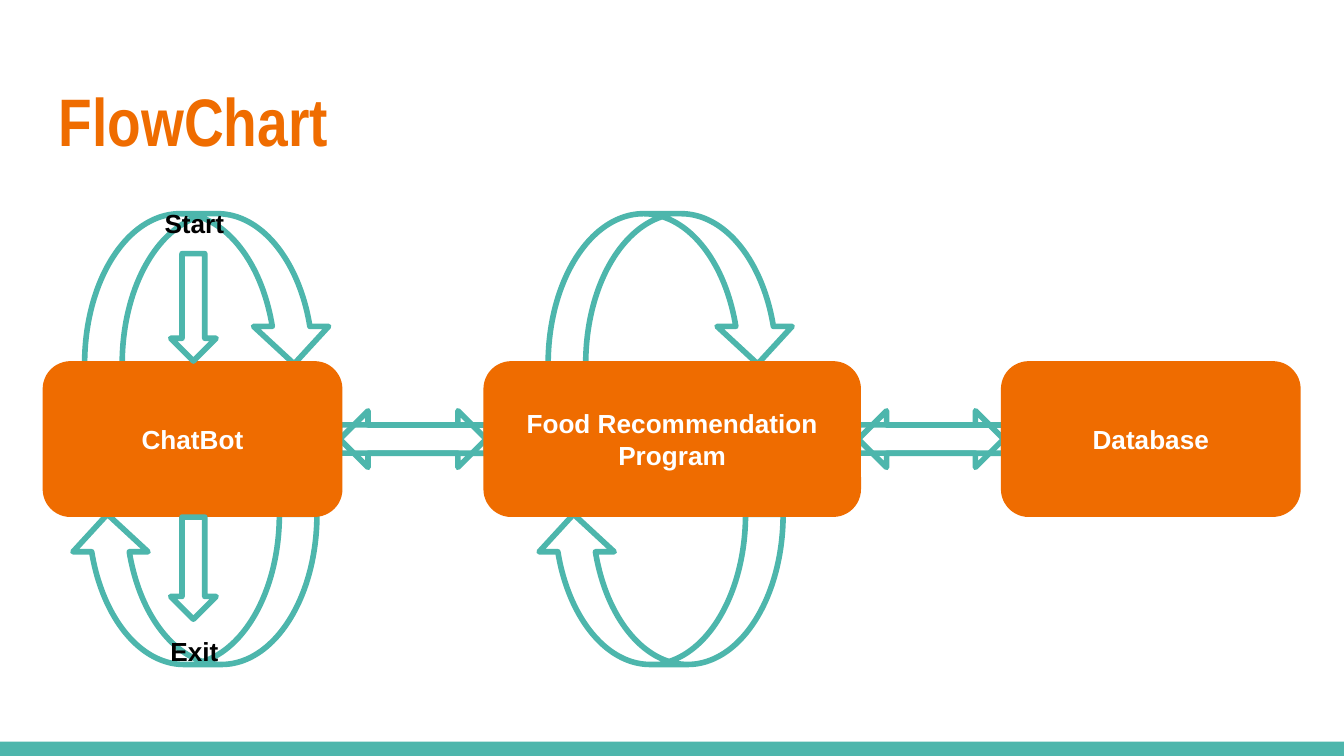
import pptx
import pptx.dml.color
import pptx.enum.shapes
import pptx.enum.text
import pptx.util
from lxml import etree
from pptx.util import Cm

COLORS = {"teal": "4DB6AC", "orange": "EF6C00", "white": "FFFFFF", "black": "000000"}
SHAPES = pptx.enum.shapes.MSO_SHAPE
ANCHORS = pptx.enum.text.MSO_ANCHOR
CENTER = pptx.enum.text.PP_ALIGN.CENTER
BOX_TOP, BOX_HEIGHT = 6.88, 2.84
LOOP_WIDTH, LOOP_HEIGHT = 4.67, 2.84
ARROW_HEIGHT = 1.07
BOXES = [("ChatBot", 0.86, 5.56), ("Food Recommendation Program", 9.19, 7.03),
         ("Database", 18.97, 5.56)]


def rgb(name):
    return pptx.dml.color.RGBColor.from_string(COLORS[name])


def set_text(shape, text, color, size=14, font="Arial", align=CENTER, anchor=ANCHORS.TOP):
    frame = shape.text_frame
    frame.text = text
    frame.word_wrap = True
    frame.auto_size = pptx.enum.text.MSO_AUTO_SIZE.NONE
    frame.vertical_anchor = anchor
    frame.margin_left = frame.margin_right = Cm(0.25)
    frame.margin_top = frame.margin_bottom = Cm(0.25)
    paragraph = frame.paragraphs[0]
    paragraph.alignment = align
    run_font = paragraph.runs[0].font
    run_font.name, run_font.bold = font, True
    run_font.size = pptx.util.Pt(size)
    run_font.color.rgb = rgb(color)


def add_shape(shapes, kind, left, top, width, height, fill=None, line=None, rotation=0):
    shape = shapes.add_shape(kind, Cm(left), Cm(top), Cm(width), Cm(height))
    shape.shadow.inherit = False
    shape.rotation = rotation
    if fill:
        shape.fill.solid()
        shape.fill.fore_color.rgb = rgb(fill)
    else:
        shape.fill.background()
    if line:
        shape.line.color.rgb = rgb(line)
        shape.line.width = pptx.util.Pt(3)
        outline = shape.line._get_or_add_ln()
        etree.SubElement(outline, pptx.oxml.ns.qn("a:round"))
    else:
        shape.line.fill.background()
    return shape


def add_outline_arrow(shapes, kind, left, top, width, height, rotation=0):
    add_shape(shapes, kind, left, top, width, height, line="teal", rotation=rotation)


def add_two_way_arrow(shapes, left, right):
    """Overlay two opposite arrows between neighbouring boxes."""
    top = BOX_TOP + (BOX_HEIGHT - ARROW_HEIGHT) / 2
    for rotation in (180, 0):
        add_outline_arrow(shapes, SHAPES.RIGHT_ARROW, left, top, right - left,
                          ARROW_HEIGHT, rotation)


def add_loop(shapes, upper_left, lower_left):
    """Draw one curved arrow above a box and one below it."""
    for left, top, rotation in ((upper_left, BOX_TOP - LOOP_HEIGHT, 0),
                                (lower_left, BOX_TOP + BOX_HEIGHT, 180)):
        add_outline_arrow(shapes, SHAPES.CURVED_DOWN_ARROW, left, top,
                          LOOP_WIDTH, LOOP_HEIGHT, rotation)


def add_box(shapes, text, left, width):
    box = add_shape(shapes, SHAPES.ROUNDED_RECTANGLE, left, BOX_TOP, width, BOX_HEIGHT,
                    fill="orange", line="orange")
    set_text(box, text, "white", anchor=ANCHORS.MIDDLE)


def add_terminal(slide, text, text_top, arrow_left, arrow_top, arrow_length):
    """Group a start or exit label with its downward arrow."""
    group = slide.shapes.add_group_shape()
    add_outline_arrow(group.shapes, SHAPES.RIGHT_ARROW, arrow_left, arrow_top,
                      arrow_length, 0.86, rotation=90)
    label = group.shapes.add_textbox(Cm(2.29), Cm(text_top), Cm(2.77), Cm(1.07))
    set_text(label, text, "black")


def add_title(slide, text):
    title = slide.shapes.title
    title.left, title.top, title.width, title.height = Cm(0.86), Cm(1.24), Cm(23.67), Cm(1.96)
    set_text(title, text, "orange", size=36, font="Arial Narrow",
             align=pptx.enum.text.PP_ALIGN.LEFT)


def main():
    presentation = pptx.Presentation()
    presentation.slide_width, presentation.slide_height = Cm(25.4), Cm(14.29)
    slide = presentation.slides.add_slide(presentation.slide_layouts[5])
    shapes = slide.shapes

    add_shape(shapes, SHAPES.RECTANGLE, 0, 14.02, 25.4, 0.27, fill="teal")
    add_title(slide, "FlowChart")
    for (_, left, width), (_, next_left, _) in zip(BOXES, BOXES[1:]):
        add_two_way_arrow(shapes, left + width, next_left)
    add_loop(shapes, 1.6, 1.32)
    add_loop(shapes, 10.36, 10.13)
    for text, left, width in BOXES:
        add_box(shapes, text, left, width)
    add_terminal(slide, "Exit", 11.76, 2.69, 10.31, 1.93)
    add_terminal(slide, "Start", 3.68, 2.64, 5.38, 2.03)

    presentation.save("out.pptx")


if __name__ == "__main__":
    main()
